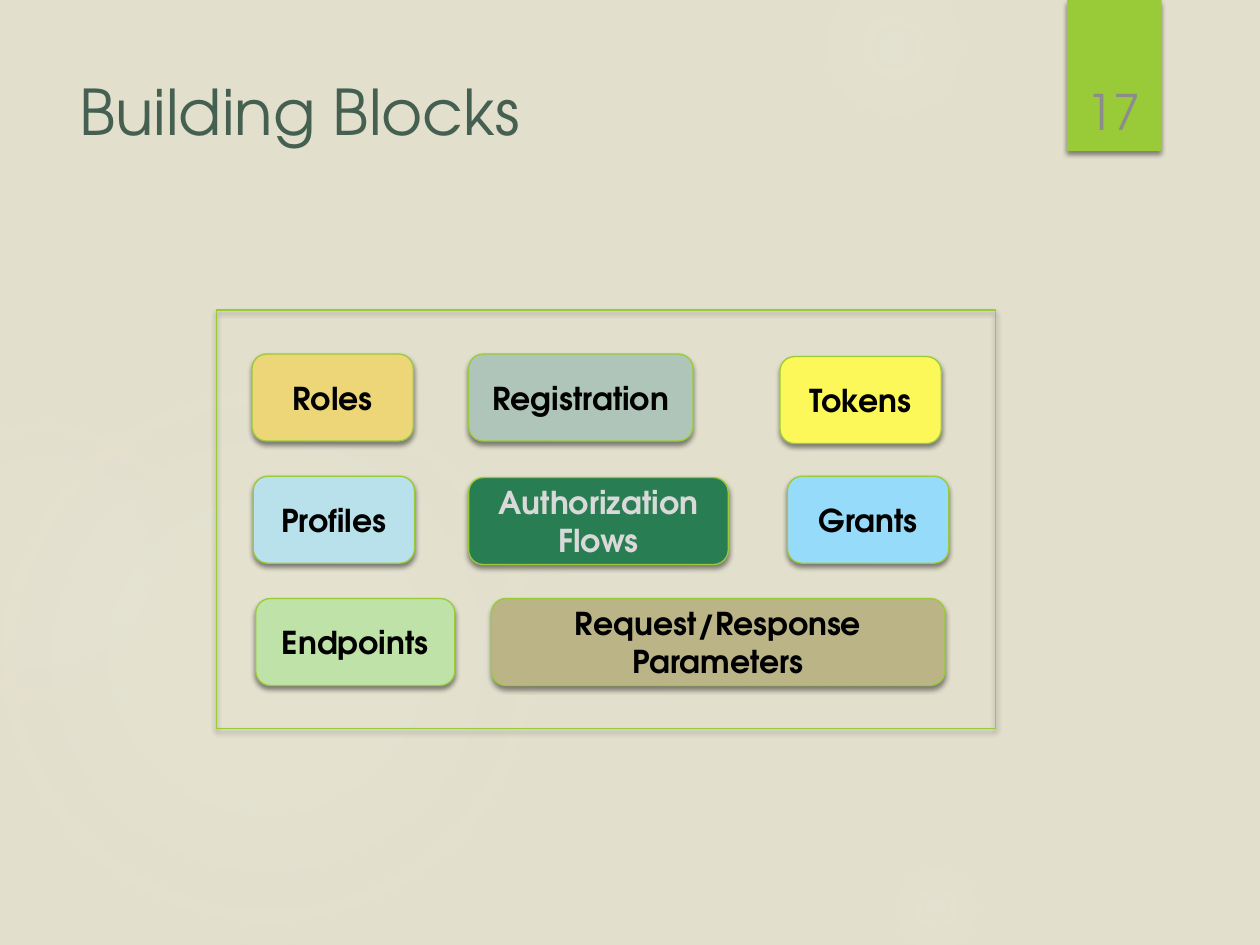
"""Build the Building Blocks slide: a framed set of coloured, labelled blocks."""
from pptx import Presentation
from pptx.dml.color import RGBColor
from pptx.enum.shapes import MSO_SHAPE
from pptx.enum.text import MSO_ANCHOR, PP_ALIGN
from pptx.oxml import parse_xml
from pptx.oxml.ns import nsdecls, qn
from pptx.util import Inches, Pt

FONT = "TeX Gyre Adventor"
BACKGROUND = RGBColor(0xE2, 0xDF, 0xCC)
GREEN = RGBColor(0x99, 0xCB, 0x38)
TITLE_COLOR = RGBColor(0x45, 0x5F, 0x51)
NUMBER_COLOR = RGBColor(0x8C, 0x8C, 0x8C)
BLACK = RGBColor(0, 0, 0)
PALE = RGBColor(0xD9, 0xD9, 0xD9)
GOLD = RGBColor(0xEC, 0xD6, 0x78)
SAGE = RGBColor(0xAF, 0xC5, 0xB9)
YELLOW = RGBColor(0xFC, 0xF8, 0x5A)
AQUA = RGBColor(0xB8, 0xE1, 0xEC)
FOREST = RGBColor(0x29, 0x7D, 0x53)
SKY = RGBColor(0x97, 0xDB, 0xFB)
MINT = RGBColor(0xBF, 0xE2, 0xA8)
KHAKI = RGBColor(0xBB, 0xB4, 0x87)
GLOW = RGBColor(0xF3, 0xF2, 0xEB)

TITLE = "Building Blocks"
PAGE_NUMBER = "17"
BLOCK_HEIGHT = 0.69
BLOCKS = [
    ("Roles", 2, 2.81, 1.28, GOLD, BLACK),
    ("Registration", 3.72, 2.81, 1.78, SAGE, BLACK),
    ("Tokens", 6.19, 2.83, 1.28, YELLOW, BLACK),
    ("Profiles", 2.01, 3.78, 1.28, AQUA, BLACK),
    ("Authorization\nFlows", 3.72, 3.79, 2.06, FOREST, PALE),
    ("Grants", 6.25, 3.78, 1.28, SKY, BLACK),
    ("Endpoints", 2.03, 4.75, 1.58, MINT, BLACK),
    ("Request/Response\nParameters", 3.9, 4.75, 3.6, KHAKI, BLACK),
]
GLOWS = [
    (6.22, -0.5, 1.75, [(0, 14), (36, 7), (73, 0)]),
    (6.89, 6.67, 1.08, [(0, 14), (36, 7), (66, 0)]),
    (-0.17, 2.92, 4.58, [(0, 11), (36, 10), (75, 0)]),
    (-0.92, 3.17, 2.58, [(0, 8), (36, 8), (72, 0)]),
]


def write(shape, text, size, color, bold=False, align=PP_ALIGN.CENTER,
          anchor=MSO_ANCHOR.MIDDLE):
    """Fill a shape with text, one paragraph per line."""
    frame = shape.text_frame
    frame.word_wrap = True
    frame.vertical_anchor = anchor
    frame.text = text
    for para in frame.paragraphs:
        para.alignment = align
        font = para.runs[0].font
        font.name, font.size, font.bold = FONT, Pt(size), bold
        font.color.rgb = color


def add_box(page, kind, bounds, fill=None, line=None, shadow=True):
    """Add a preset shape with its fill, outline and drop shadow."""
    box = page.shapes.add_shape(kind, *map(Inches, bounds))
    if fill is None:
        box.fill.background()
    else:
        box.fill.solid()
        box.fill.fore_color.rgb = fill
    if line is None:
        box.line.fill.background()
    else:
        box.line.color.rgb = line
        box.line.width = Pt(0.75)
    box.shadow.inherit = False
    if shadow:
        box._element.spPr.find(qn("a:effectLst")).append(parse_xml(
            f'<a:outerShdw {nsdecls("a")} blurRad="{Pt(3)}" dist="{Pt(2)}" '
            'dir="5400000" rotWithShape="0"><a:srgbClr val="000000">'
            '<a:alpha val="45000"/></a:srgbClr></a:outerShdw>'))
    return box


def add_glow(page, left, top, size, stops):
    """Add a circle that fades out from its centre."""
    circle = add_box(page, MSO_SHAPE.OVAL, (left, top, size, size), shadow=False)
    stop_xml = "".join(
        f'<a:gs pos="{position * 1000}"><a:srgbClr val="{GLOW}">'
        f'<a:alpha val="{alpha * 1000}"/></a:srgbClr></a:gs>'
        for position, alpha in stops)
    gradient = parse_xml(
        f'<a:gradFill {nsdecls("a")}><a:gsLst>{stop_xml}</a:gsLst>'
        '<a:path path="circle"><a:fillToRect l="50000" t="50000" '
        'r="50000" b="50000"/></a:path></a:gradFill>')
    properties = circle._element.spPr
    properties.replace(properties.find(qn("a:noFill")), gradient)


def main():
    """Assemble the slide and save the deck."""
    deck = Presentation()
    deck.slide_width, deck.slide_height = Inches(10), Inches(7.5)
    page = deck.slides.add_slide(deck.slide_layouts[5])
    page.background.fill.solid()
    page.background.fill.fore_color.rgb = BACKGROUND

    for glow in GLOWS:
        add_glow(page, *glow)
    add_box(page, MSO_SHAPE.RECTANGLE, (8.47, 0, 0.75, 1.2), fill=GREEN)

    title = page.shapes.title
    title.left, title.top = Inches(0.53), Inches(0.5)
    title.width, title.height = Inches(7.72), Inches(0.75)
    write(title, TITLE, 36, TITLE_COLOR, align=PP_ALIGN.LEFT)

    add_box(page, MSO_SHAPE.RECTANGLE, (1.72, 2.46, 6.18, 3.32), line=GREEN)
    for label, left, top, width, fill, color in BLOCKS:
        block = add_box(page, MSO_SHAPE.ROUNDED_RECTANGLE,
                        (left, top, width, BLOCK_HEIGHT), fill=fill, line=GREEN)
        write(block, label, 18, color, bold=True)

    number = page.shapes.add_textbox(*map(Inches, (8.49, 0.32, 0.69, 0.84)))
    write(number, PAGE_NUMBER, 28, NUMBER_COLOR, anchor=MSO_ANCHOR.BOTTOM)

    deck.save("out.pptx")


if __name__ == "__main__":
    main()
